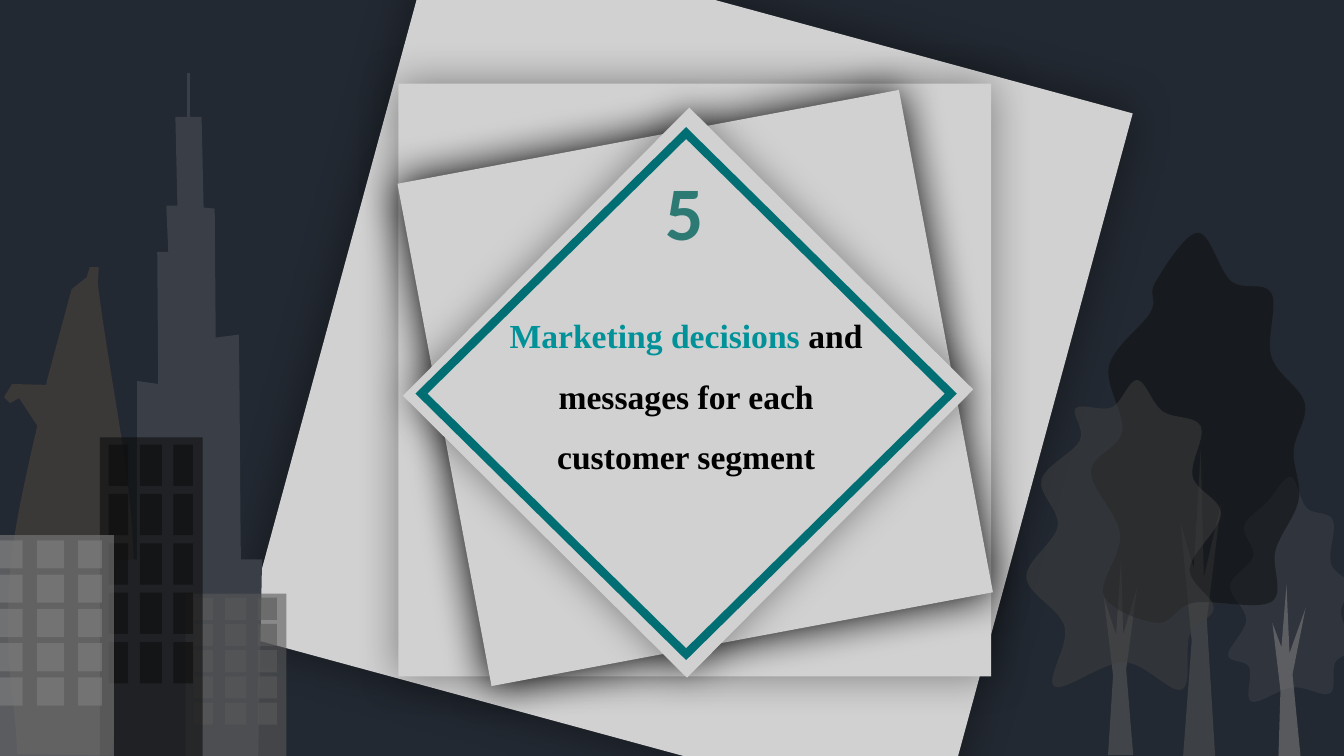
from pptx import Presentation
from pptx.dml.color import RGBColor
from pptx.enum.shapes import MSO_CONNECTOR as Connector, MSO_SHAPE as Shape
from pptx.enum.text import MSO_AUTO_SIZE as AutoSize, PP_ALIGN as Align
from pptx.oxml.ns import qn
from pptx.util import Inches, Pt
from lxml.etree import SubElement

COLOURS = {
    "night": "232932", "paper": "D1D1D1", "frame": "016E73", "accent": "019299",
    "number": "2D7974", "black": "000000", "brown": "3B3838", "tower": "3A3F47",
    "grey": "595959", "ink": "0D0D0D", "silver": "7F7F7F", "trunk": "5C5C5C",
    "leaf": "404040",
}
NUMBER = "5"
TITLE = [("Marketing decisions ", "accent"),
         ("and messages for each customer segment", "black")]

# Stacked paper: left, top, width, height, rotation, shadow opacity, shadow blur
SHEETS = [
    (3.25, 0.06, 7.15, 7.32, 15.2, 40, 34),
    (3.95, 0.83, 5.88, 5.88, 0, 40, 30),
    (4.36, 1.32, 5.07, 5.06, 79.4, 100, 30),
    (4.81, 1.91, 4.03, 3.97, 314.8, 40, 28),
]

# Skyline outlines: two numbers make a corner, six make a curve (two handles, end)
STATUE = [(0.09, 5.81), (0.05, 6.75, 0.15, 6.85, 0.17, 7.48), (1.1, 7.49),
          (1.18, 6.92, 1.34, 6.35, 1.33, 5.78), (1.33, 4.76, 1.09, 3.8, 0.97, 2.81),
          (0.98, 2.65), (0.89, 2.65), (0.86, 2.75), (0.71, 2.87), (0.47, 3.76),
          (0.35, 4.37, 0.12, 5.18, 0.09, 5.81)]
ARM = [(0.5, 3.82), (0.12, 3.81), (0.04, 3.94), (0.1, 4), (0.19, 3.95), (0.4, 4.27)]
TOWER = [(2.6, 5.55), (2.56, 7.56), (1.13, 7.56), (1.14, 5.56), (1.36, 5.55),
         (1.36, 3.78), (1.57, 3.81), (1.56, 2.5), (1.67, 2.5), (1.65, 2.04),
         (1.76, 2.04), (1.74, 1.16), (2, 1.16), (2.02, 2.06), (2.13, 2.07),
         (2.14, 3.35), (2.37, 3.32), (2.38, 4.06, 2.38, 4.81, 2.39, 5.55)]
ANTENNA = (1.87, 0.72, 1.87, 1.16)

# Buildings: colour, frame, first window row, row pitch, window height
BUILDINGS = [
    ("grey", (1.84, 5.89, 1, 1.68), 5.93, 0.26, 0.22),
    ("ink", (0.99, 4.34, 1.02, 3.18), 4.41, 0.49, 0.41),
    ("silver", (-0.12, 5.31, 1.25, 2.19), 5.36, 0.34, 0.28),
]
WINDOW_ROWS = 5
WINDOW_COLUMNS = [(0.085, 0.19), (0.39, 0.215), (0.715, 0.19)]  # shares of width

# Trees, back to front: colour, opacity, rounded outline, points
TREES = [
    ("trunk", 54, False, [
        (11.24, 7.49), (11.17, 6.64), (11.28, 5.82), (11.14, 6.3), (11.12, 5.54),
        (11.07, 6.3), (10.95, 5.93), (11.04, 6.7), (10.99, 7.49)]),
    ("tower", 54, True, [
        (12.82, 6.82), (13.19, 6.88), (13.24, 6.58), (13.4, 6.42), (13.3, 6.07),
        (13.4, 5.81), (13.2, 5.59), (13.22, 5.16), (12.96, 5.04), (12.8, 4.73),
        (12.57, 4.98), (12.34, 5.22), (12.43, 5.52), (12.2, 5.81), (12.36, 6.15),
        (12.18, 6.5), (12.39, 6.62), (12.41, 6.96)]),
    ("silver", 57, False, [
        (12.9, 7.51), (12.82, 6.69), (12.95, 6.03), (12.79, 6.48), (12.76, 5.8),
        (12.71, 6.42), (12.62, 6.18), (12.7, 6.85), (12.68, 7.52)]),
    ("trunk", 47, False, [
        (12.06, 7.63), (11.97, 6.15), (12.11, 5), (11.94, 5.73), (11.91, 4.46),
        (11.84, 5.64), (11.71, 5.19), (11.82, 6.36), (11.73, 7.57)]),
    ("ink", 50, True, [
        (11.84, 5.98), (12.61, 5.97), (12.65, 5.46), (12.88, 4.96), (12.83, 4.47),
        (12.94, 4), (12.61, 3.54), (12.61, 2.91), (12.21, 2.79), (11.88, 2.31),
        (11.46, 2.8), (11.41, 3.1), (11, 3.63), (11.13, 4.28), (10.82, 4.68),
        (11.11, 5.3), (10.95, 5.91), (11.48, 6.18)]),
    ("leaf", 51, True, [
        (11.15, 6.57), (11.72, 6.84), (11.8, 6.3), (12.04, 6.03), (11.8, 5.64),
        (12.11, 5.1), (11.83, 4.73), (11.91, 4.23), (11.53, 4.08), (11.28, 3.77),
        (11.03, 4.04), (10.67, 4.05), (10.71, 4.37), (10.33, 4.76), (10.49, 5.22),
        (10.18, 5.73), (10.56, 6.22), (10.46, 6.81)]),
]


def rgb(name):
    return RGBColor.from_string(COLOURS[name])


def paint(shape, colour, opacity=100):
    shape.shadow.inherit = False
    shape.line.fill.background()
    shape.fill.solid()
    shape.fill.fore_color.rgb = rgb(colour)
    if opacity < 100:
        tint = shape.fill._xPr.find(qn("a:solidFill"))[0]
        SubElement(tint, qn("a:alpha"), val=str(opacity * 1000))
    return shape


def add_preset(shapes, kind, frame):
    return shapes.add_shape(kind, *(Inches(length) for length in frame))


def add_glow(shape, opacity, blur):
    effects = shape._element.spPr.find(qn("a:effectLst"))
    shadow = SubElement(effects, qn("a:outerShdw"), blurRad=str(Pt(blur)),
                        dist="0", dir="0", algn="ctr", rotWithShape="0")
    tint = SubElement(shadow, qn("a:srgbClr"), val=COLOURS["black"])
    SubElement(tint, qn("a:alpha"), val=str(opacity * 1000))


def rounded(points):
    """Curves through all points, each handle parallel to its neighbours' chord."""
    curves = [points[0]]
    for i, start in enumerate(points):
        before = points[i - 1]
        end, after = (points[(i + ahead) % len(points)] for ahead in (1, 2))
        first = [s + (e - b) / 6 for b, s, e in zip(before, start, end)]
        second = [e - (a - s) / 6 for s, e, a in zip(start, end, after)]
        curves.append((*first, *second, *end))
    return curves


def add_outline(shapes, steps, colour, opacity=100):
    corners = [(Inches(step[-2]), Inches(step[-1])) for step in steps]
    builder = shapes.build_freeform(*corners[0])
    builder.add_line_segments(corners[1:], close=True)
    outline = paint(builder.convert_to_shape(), colour, opacity)
    segments = list(outline._element.iter(qn("a:lnTo")))
    for segment, step in zip(segments, steps[1:]):
        if len(step) == 6:
            segment.tag = qn("a:cubicBezTo")
            for i in (0, 2):
                handle = segment.makeelement(qn("a:pt"), {
                    "x": str(Inches(step[i]) - outline.left),
                    "y": str(Inches(step[i + 1]) - outline.top)})
                segment.insert(i // 2, handle)


def add_text(page, frame, spans, font_name, size):
    box = page.shapes.add_textbox(*(Inches(length) for length in frame))
    box.text_frame.word_wrap = True
    box.text_frame.auto_size = AutoSize.SHAPE_TO_FIT_TEXT
    para = box.text_frame.paragraphs[0]
    para.font.name, para.font.size, para.font.bold = font_name, Pt(size), True
    for text, colour in spans:
        span = para.add_run()
        span.text = text
        span.font.color.rgb = rgb(colour)
    return para


deck = Presentation()
deck.slide_width, deck.slide_height = Inches(13.33), Inches(7.5)
page = deck.slides.add_slide(deck.slide_layouts[6])
page.background.fill.solid()
page.background.fill.fore_color.rgb = rgb("night")

# Paper stack and diamond frame
for *frame, rotation, opacity, blur in SHEETS:
    sheet = paint(add_preset(page.shapes, Shape.RECTANGLE, frame), "paper")
    sheet.rotation = rotation
    add_glow(sheet, opacity, blur)
diamond = add_preset(page.shapes, Shape.DIAMOND, (4.22, 1.28, 5.17, 5.25))
diamond.rotation = 90
diamond.shadow.inherit = False
diamond.fill.background()
diamond.line.color.rgb = rgb("frame")
diamond.line.width = Pt(6)
SubElement(diamond._element.spPr.find(qn("a:ln")), qn("a:miter"), lim="800000")

# Title and number
title = add_text(page, (4.76, 2.88, 4.09, 1.84), TITLE, "Times New Roman", 24)
title.alignment = Align.CENTER
title.line_spacing = 1.5
title.space_after = Pt(6)
add_text(page, (6.5, 1.59, 0.64, 1.01), [(NUMBER, "number")], "Calibri", 54)

# Statue and tower
statue = page.shapes.add_group_shape().shapes
for steps in (STATUE, ARM):
    add_outline(statue, steps, "brown")
tower = page.shapes.add_group_shape().shapes
add_outline(tower, TOWER, "tower")
antenna = tower.add_connector(Connector.STRAIGHT, *(Inches(place) for place in ANTENNA))
antenna.line.color.rgb = rgb("tower")
antenna.line.width = Pt(2.25)
SubElement(antenna._element.spPr, qn("a:effectLst"))

# Buildings with window grids
for colour, frame, first_row, pitch, height in BUILDINGS:
    building = page.shapes.add_group_shape().shapes
    left, _, width, _ = frame
    windows = [(left + offset * width, first_row + row * pitch, share * width, height)
               for row in range(WINDOW_ROWS) for offset, share in WINDOW_COLUMNS]
    for block in [frame] + windows:
        paint(add_preset(building, Shape.RECTANGLE, block), colour, 60)

# Trees
for colour, opacity, is_round, points in TREES:
    add_outline(page.shapes, rounded(points) if is_round else points, colour, opacity)

deck.save("out.pptx")
